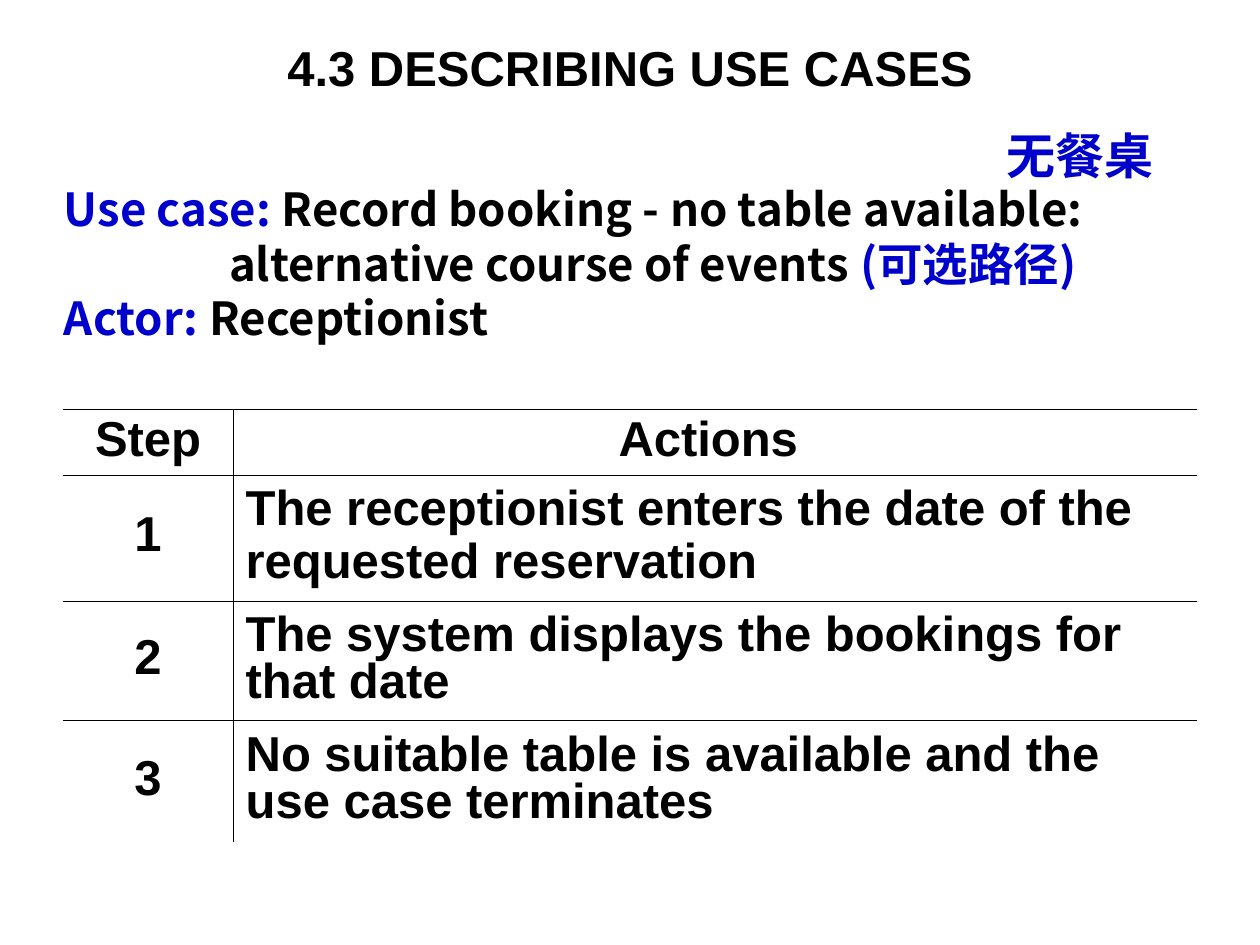
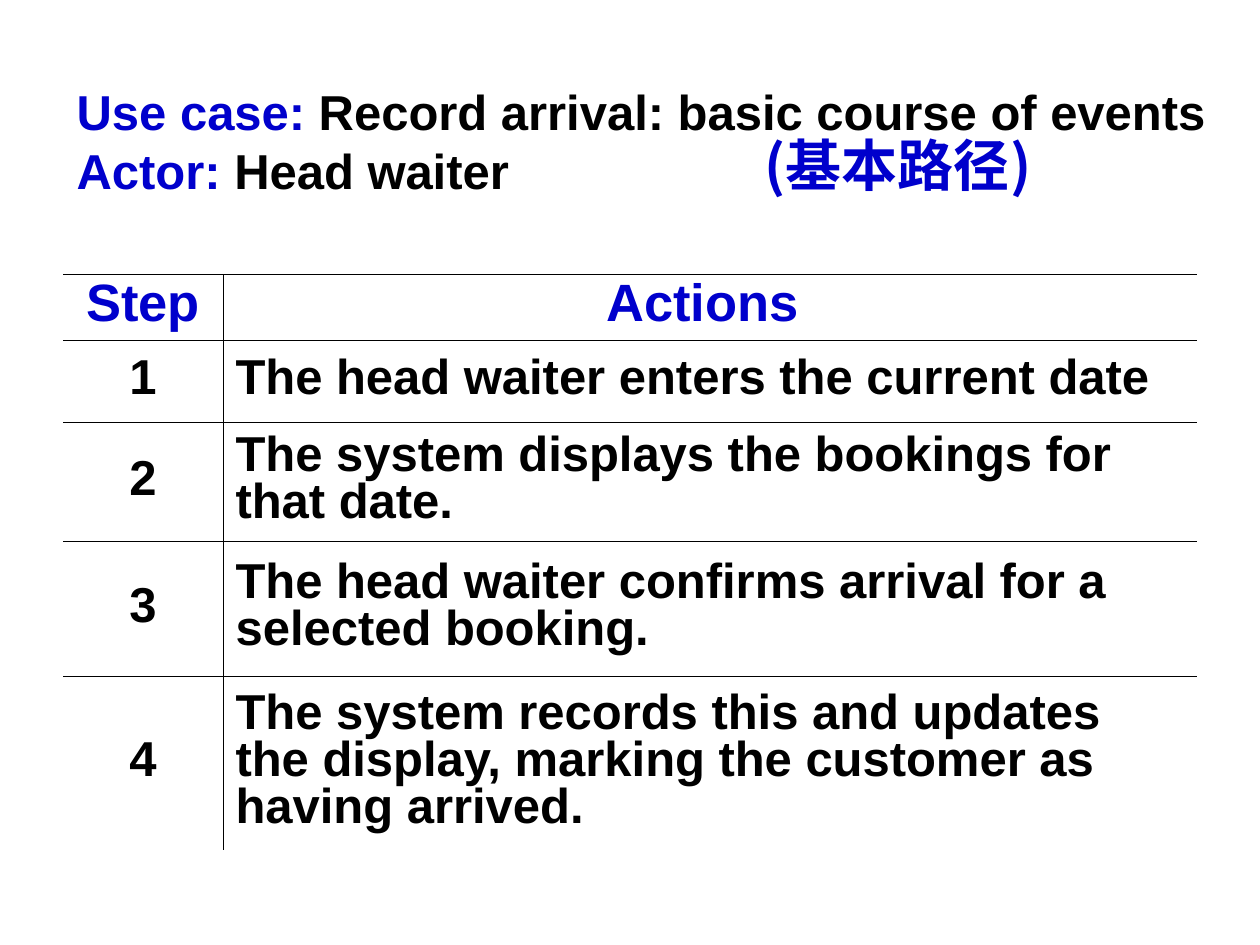
from dataclasses import dataclass

from lxml.etree import SubElement
from pptx import Presentation
from pptx.dml.color import RGBColor
from pptx.enum.text import MSO_ANCHOR, MSO_AUTO_SIZE, PP_ALIGN
from pptx.oxml import parse_xml
from pptx.oxml.ns import nsdecls, qn
from pptx.slide import Slide
from pptx.table import _Cell
from pptx.util import Inches, Pt

BLACK, BLUE = "000000", "0000CC"
LATIN, HAN = "Arial", "Noto Sans CJK SC"
PLAIN = "{2D5ABB26-0587-4C30-8999-92F81FD0307C}"


@dataclass
class Run:
    """A piece of text in one colour."""
    text: str
    color: str = BLACK


@dataclass
class Line:
    """A paragraph of runs with its left indent in inches."""
    runs: list[Run]
    indent: float = 0


@dataclass
class Box:
    """A text box with one font and size."""
    place: tuple[float, float, float, float]
    lines: list[Line]
    size: float = 28
    font: str = LATIN
    align: PP_ALIGN = PP_ALIGN.LEFT
    anchor: MSO_ANCHOR = MSO_ANCHOR.TOP
    inset: tuple[float, float] = (0.1, 0.05)
    spacing: float = 1


@dataclass
class Steps:
    """A table of numbered actions, each a list of paragraphs."""
    top: float
    step_width: float
    heights: list[float]
    actions: list[list[str]]
    spacing: float
    gap: float
    head_size: float = 28
    head_color: str = BLACK


def paint(color: str) -> RGBColor:
    """Turn a hex string into a colour."""
    return RGBColor.from_string(color)


def write(para, text: str, *, size: float = 28, color: str = BLACK,
          font: str = LATIN, bold: bool = True) -> None:
    """Add a formatted run to a paragraph."""
    run = para.add_run()
    run.text = text
    run.font.size, run.font.bold, run.font.name = Pt(size), bold, font
    run.font.color.rgb = paint(color)
    if font == HAN:
        SubElement(run.font._element, qn("a:ea"), typeface=font)


def add_box(slide: Slide, box: Box) -> None:
    """Draw a text box."""
    frame = slide.shapes.add_textbox(*map(Inches, box.place)).text_frame
    frame.word_wrap = True
    frame.auto_size = MSO_AUTO_SIZE.NONE
    frame.vertical_anchor = box.anchor
    side, edge = map(Inches, box.inset)
    frame.margin_left = frame.margin_right = side
    frame.margin_top = frame.margin_bottom = edge
    for pos, line in enumerate(box.lines):
        para = frame.add_paragraph() if pos else frame.paragraphs[0]
        para.alignment = box.align
        para.line_spacing = box.spacing
        if line.indent:
            para._p.get_or_add_pPr().set("marL", str(Inches(line.indent)))
        for run in line.runs:
            write(para, run.text, size=box.size, color=run.color, font=box.font)


def add_rules(cell: _Cell, sides: str) -> None:
    """Rule the named sides of an unfilled cell, given in the order LRTB."""
    cell.fill.background()
    props = cell._tc.get_or_add_tcPr()
    for pos, side in enumerate(sides):
        props.insert(pos, parse_xml(
            f'<a:ln{side} {nsdecls("a")} w="{Pt(0.45)}"><a:solidFill>'
            f'<a:srgbClr val="{BLACK}"/></a:solidFill></a:ln{side}>'))


def add_steps(slide: Slide, steps: Steps) -> None:
    """Draw a table of steps with rules between its cells."""
    count = len(steps.heights)
    table = slide.shapes.add_table(
        count, 2, Inches(0.5), Inches(steps.top), Inches(9),
        Inches(sum(steps.heights))).table
    table.first_row = table.horz_banding = False
    table._tbl.tblPr.find(qn("a:tableStyleId")).text = PLAIN
    table.columns[0].width = Inches(steps.step_width)
    table.columns[1].width = Inches(9 - steps.step_width)
    rows = [["Step"], ["Actions "]], *(
        [[str(num)], action] for num, action in enumerate(steps.actions, 1))
    for row, texts in enumerate(rows):
        table.rows[row].height = Inches(steps.heights[row])
        size, color = (28, BLACK) if row else (steps.head_size, steps.head_color)
        for col, parts in enumerate(texts):
            cell = table.cell(row, col)
            cell.vertical_anchor = MSO_ANCHOR.MIDDLE
            add_rules(cell, "RL"[col] + ("TB" if row < count - 1 else "T"))
            for pos, part in enumerate(parts):
                frame = cell.text_frame
                para = frame.add_paragraph() if pos else frame.paragraphs[0]
                middle = col == 0 or row == 0
                para.alignment = PP_ALIGN.CENTER if middle else PP_ALIGN.LEFT
                para.line_spacing = steps.spacing
                if pos:
                    para.space_before = Pt(steps.gap)
                write(para, part, size=size, color=color)


def field(label: str, value: str) -> Line:
    """Make a line with a blue label and a black value."""
    return Line([Run(label, BLUE), Run(value)])


BOOKING = Steps(
    3.25, 1.35, [0.52, 1, 0.95, 0.96],
    [["The receptionist enters the date of the", "requested reservation"],
     ["The system displays the bookings for that date"],
     ["No suitable table is available and the use case terminates"]],
    spacing=0.85, gap=3.5)

ARRIVAL = Steps(
    2.18, 1.27, [0.52, 0.65, 0.95, 1.07, 1.38],
    [["The head waiter enters the current date"],
     ["The system displays the bookings for", "that date."],
     ["The head waiter confirms arrival for a", "selected booking."],
     ["The system records this and updates",
      "the display, marking the customer as", "having arrived."]],
    spacing=0.8, gap=1.8, head_size=30, head_color=BLUE)

PAGES = [
    (BOOKING, [
        Box((0.41, 1.39, 9.16, 1.4), [
            field("Use case: ", "Record booking - no table available:"),
            Line([Run("alternative course of events "),
                  Run("(可选路径)", BLUE)], indent=1.31),
            field("Actor: ", "Receptionist")], size=26, font=HAN),
        Box((0.5, 0.3, 9, 0.46), [Line([Run("4.3 DESCRIBING USE CASES")])],
            align=PP_ALIGN.CENTER, anchor=MSO_ANCHOR.MIDDLE),
        Box((7.99, 1, 1.26, 0.47), [Line([Run("无餐桌", BLUE)])],
            font=HAN, inset=(0, 0))]),
    (ARRIVAL, [
        Box((0.51, 0.6, 9.21, 1.04), [
            field("Use case: ", "Record arrival: basic course of events"),
            field("Actor: ", "Head waiter")]),
        Box((5.97, 1.09, 2.49, 0.53), [Line([Run("(基本路径)", BLUE)])],
            size=32, font=HAN, spacing=0.8)]),
]


def main() -> None:
    """Build and save the slides."""
    deck = Presentation()
    deck.slide_width, deck.slide_height = Inches(10), Inches(7.5)
    for steps, boxes in PAGES:
        slide = deck.slides.add_slide(deck.slide_layouts[6])
        add_steps(slide, steps)
        for box in boxes:
            add_box(slide, box)
    deck.save("out.pptx")


if __name__ == "__main__":
    main()
